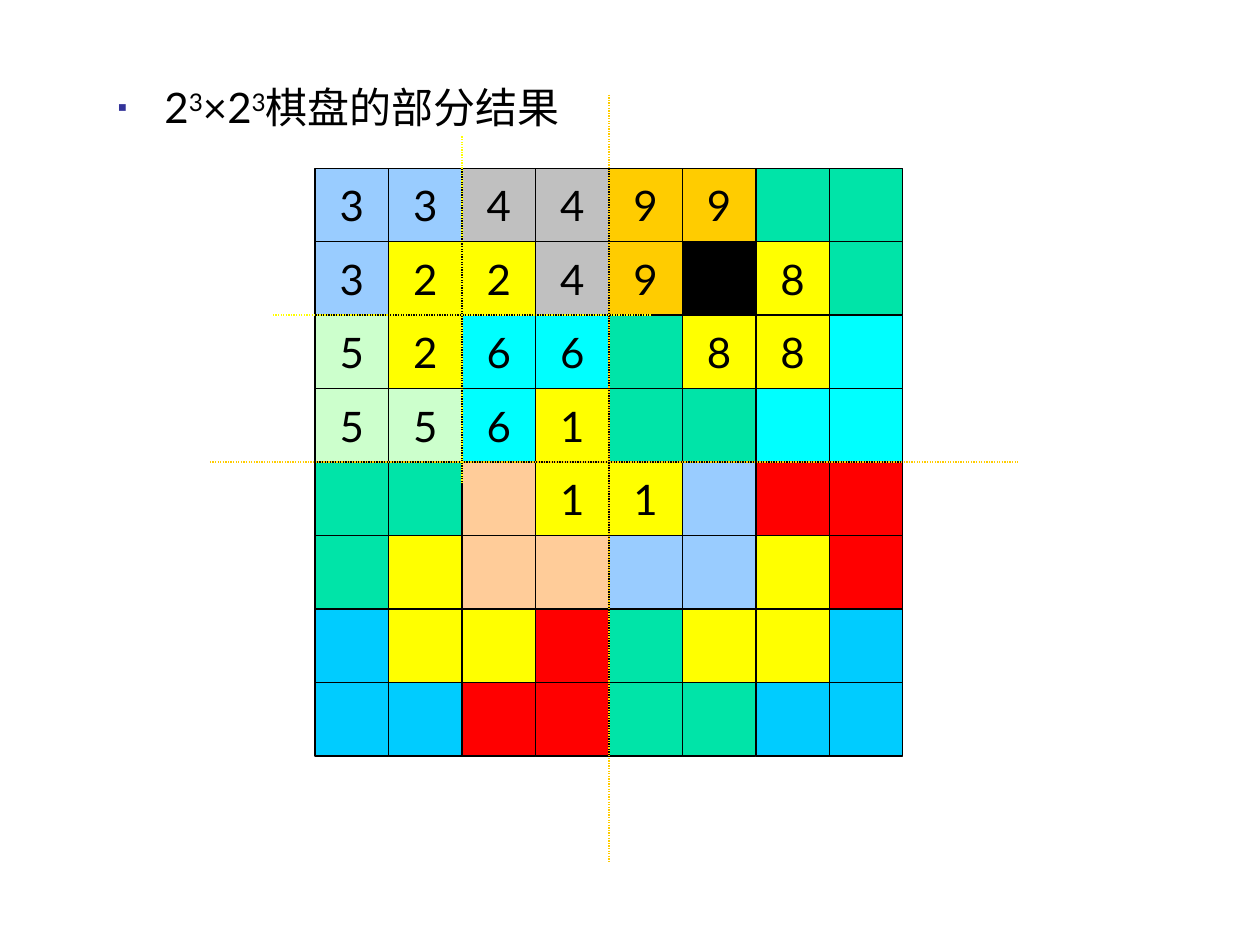
from lxml import etree
from pptx import Presentation
from pptx.dml.color import RGBColor
from pptx.enum.dml import MSO_LINE
from pptx.enum.shapes import MSO_CONNECTOR, MSO_SHAPE
from pptx.enum.text import MSO_ANCHOR, MSO_AUTO_SIZE, PP_ALIGN
from pptx.oxml.ns import qn
from pptx.util import Cm, Pt

RECT = MSO_SHAPE.RECTANGLE
LINE = MSO_CONNECTOR.STRAIGHT
DOT = MSO_LINE.ROUND_DOT
CENTER = PP_ALIGN.CENTER
MIDDLE = MSO_ANCHOR.MIDDLE
NO_FIT = MSO_AUTO_SIZE.NONE

FONT = "Lato"
COLORS = {
    "black": "000000", "navy": "333399", "blue": "99CCFF",
    "gray": "C0C0C0", "gold": "FFCC00", "mint": "00E4A8",
    "yellow": "FFFF00", "lime": "CCFFCC", "cyan": "00FFFF",
    "peach": "FFCC99", "red": "FF0000", "sky": "00CCFF",
}
CODES = {
    "b": "blue", "g": "gray", "o": "gold", "m": "mint", "y": "yellow",
    "l": "lime", "c": "cyan", "p": "peach", "r": "red", "s": "sky",
    "k": "black",
}
TILES = [
    "bbggoomm",
    "byygokym",
    "lyccmyyc",
    "llcymmcc",
    "mmpyybrr",
    "myppbbyr",
    "syyrmyys",
    "ssrrmmss",
]
MARKS = [
    "334499..",
    "32249.8.",
    "5266.88.",
    "5561....",
    "...11...",
    "........",
    "........",
    "........",
]
LEFT, TOP, SIDE = 6.35, 3.39, 11.85
CELL = SIDE / len(TILES)


def color(name):
    return RGBColor.from_string(COLORS[name])


def write(para, text, size=24, fill="black", raised=False):
    run = para.add_run()
    run.text = text
    run.font.name = FONT
    run.font.size = Pt(size)
    run.font.color.rgb = color(fill)
    if raised:
        run.font._element.set("baseline", "30000")


def add_bullet(para, char, fill, size):
    props = para._p.get_or_add_pPr()
    props.set("marL", str(Cm(0.95)))
    props.set("indent", str(-Cm(0.95)))
    tint = etree.SubElement(props, qn("a:buClr"))
    etree.SubElement(tint, qn("a:srgbClr"), val=COLORS[fill])
    etree.SubElement(props, qn("a:buSzPct"), val=str(size * 1000))
    etree.SubElement(props, qn("a:buFont"), typeface=FONT)
    etree.SubElement(props, qn("a:buChar"), char=char)


def add_body(slide):
    body = slide.placeholders[1]
    body.left, body.top = Cm(2.11), Cm(1.52)
    body.width, body.height = Cm(17.2), Cm(15.24)
    body.text_frame.auto_size = NO_FIT
    para = body.text_frame.paragraphs[0]
    para.space_before = Pt(0)
    add_bullet(para, "▪", "navy", 60)
    for base in ("2", "×2"):
        write(para, base)
        write(para, "3", raised=True)
    write(para, "棋盘的部分结果")


def add_tile(slide, row, col, fill, mark):
    tile = slide.shapes.add_shape(
        RECT, Cm(LEFT + col * CELL), Cm(TOP + row * CELL), Cm(CELL), Cm(CELL))
    tile.shadow.inherit = False
    tile.fill.solid()
    tile.fill.fore_color.rgb = color(fill)
    tile.line.color.rgb = color("black")
    tile.line.width = Pt(0.75)
    if mark != ".":
        frame = tile.text_frame
        frame.word_wrap = False
        frame.vertical_anchor = MIDDLE
        para = frame.paragraphs[0]
        para.alignment = CENTER
        write(para, mark)


def add_board(slide):
    for row, (codes, marks) in enumerate(zip(TILES, MARKS)):
        for col, (code, mark) in enumerate(zip(codes, marks)):
            add_tile(slide, row, col, CODES[code], mark)


def add_split(slide, start, end, fill):
    line = slide.shapes.add_connector(LINE, *map(Cm, start + end))
    line.line.color.rgb = color(fill)
    line.line.width = Pt(0.75)
    line.line.dash_style = DOT
    etree.SubElement(line._element.spPr, qn("a:effectLst"))


def add_splits(slide):
    for step, fill, across, down in (
        (4, "gold", (4.23, 20.53), (1.91, 17.36)),
        (2, "yellow", (5.5, 13.12), (2.75, 9.74)),
    ):
        x, y = LEFT + step * CELL, TOP + step * CELL
        add_split(slide, (across[0], y), (across[1], y), fill)
        add_split(slide, (x, down[0]), (x, down[1]), fill)


def main():
    deck = Presentation()
    deck.slide_width, deck.slide_height = Cm(25.4), Cm(19.05)
    slide = deck.slides.add_slide(deck.slide_layouts[1])
    title = slide.shapes.title._element
    title.getparent().remove(title)
    add_body(slide)
    add_board(slide)
    add_splits(slide)
    deck.save("out.pptx")


if __name__ == "__main__":
    main()
